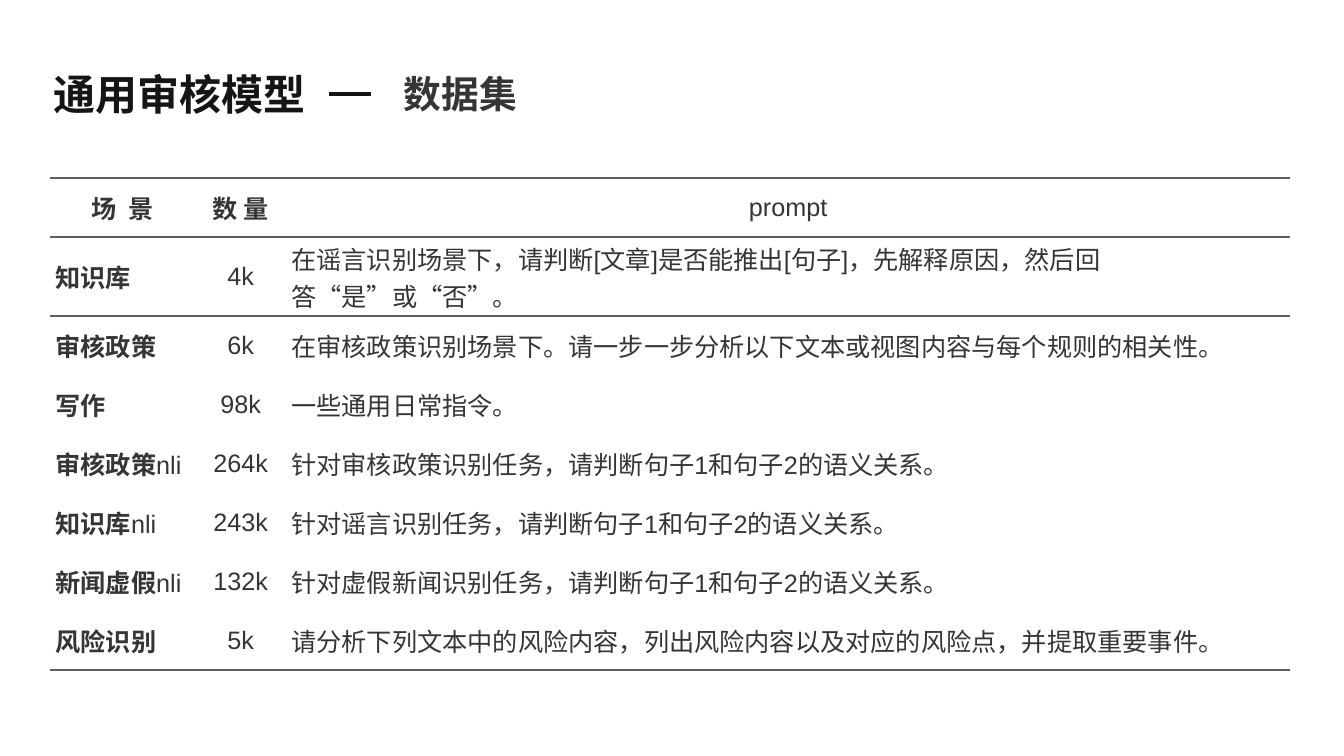
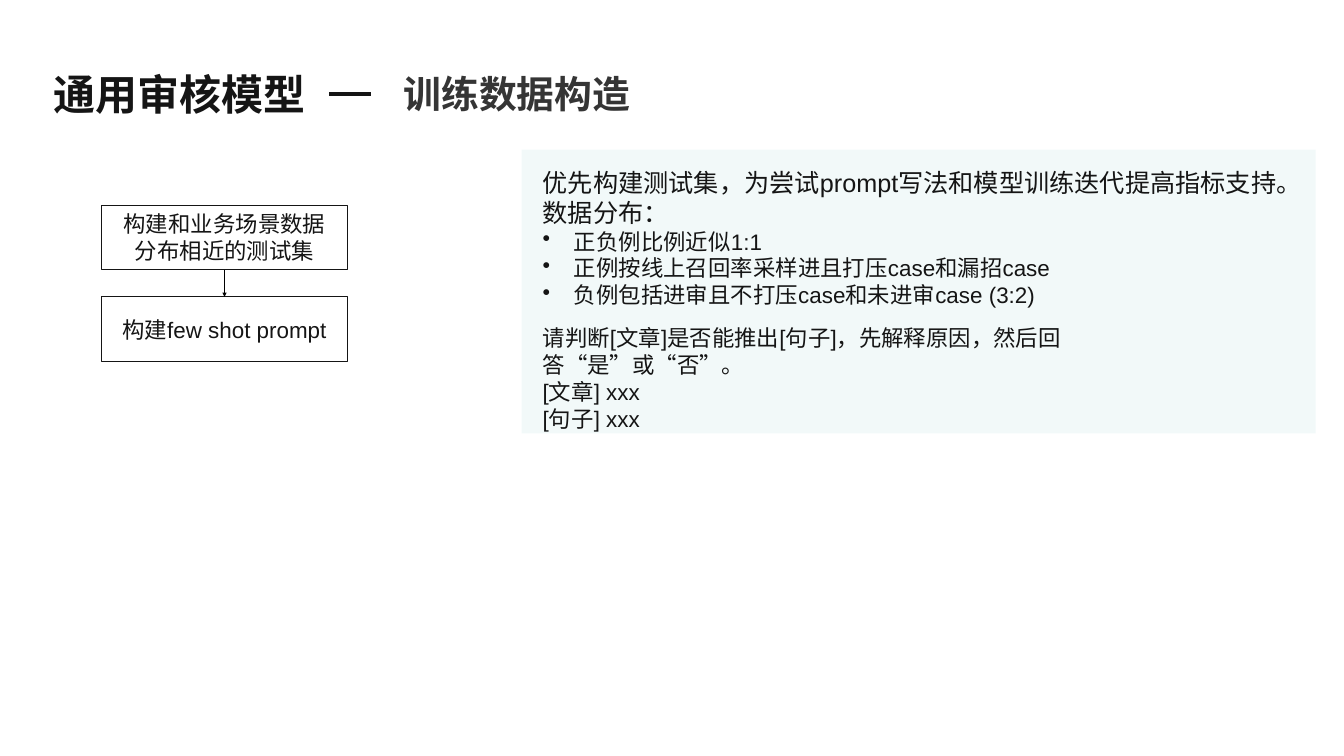
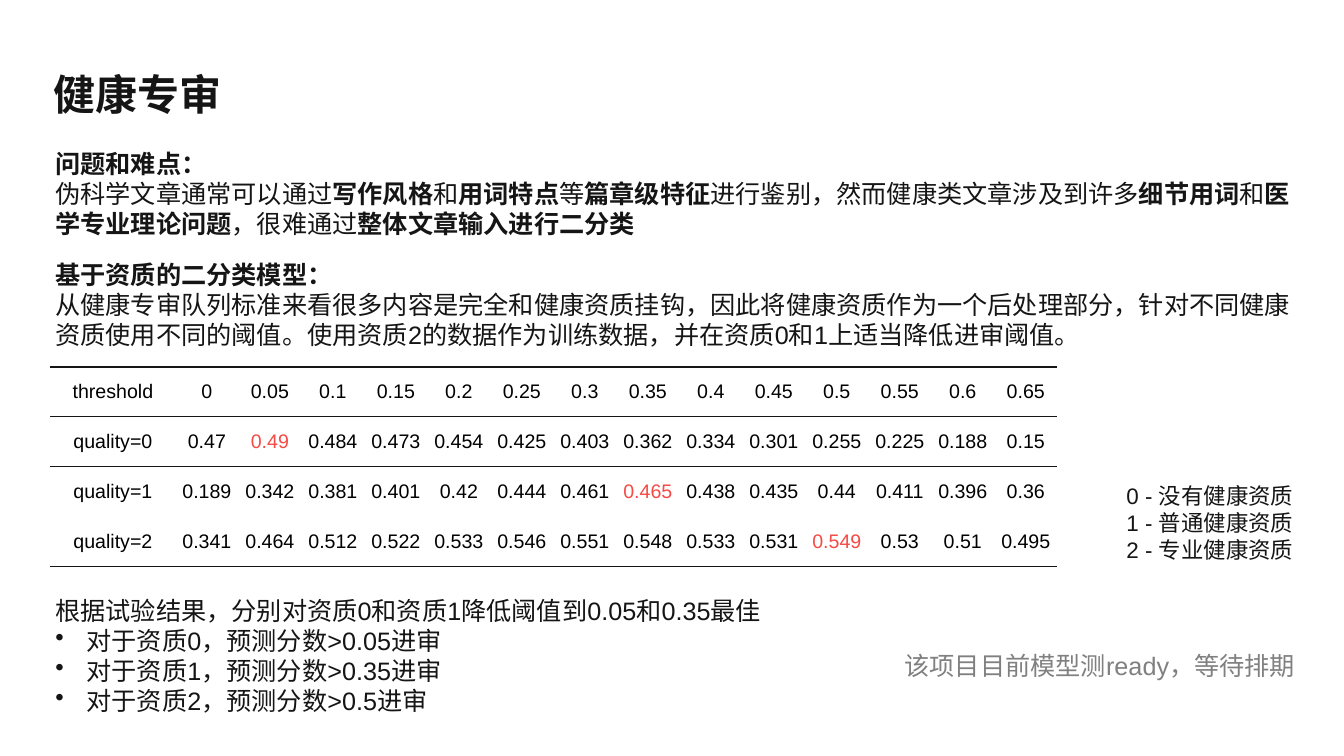
from lxml import etree
from pptx import Presentation
from pptx.dml.color import RGBColor
from pptx.enum.shapes import MSO_CONNECTOR, MSO_SHAPE
from pptx.enum.text import MSO_ANCHOR, MSO_AUTO_SIZE, PP_ALIGN
from pptx.oxml.ns import qn
from pptx.util import Pt

PX = 9144  # 100 px to the inch
FONT = "Arial"
COLORS = {
    "ink": "151515", "soft": "353535", "rule": "5E5E5E", "black": "000000",
    "best": "F54A45", "muted": "808080", "panel": "4FB2B6",
}
NO_STYLE = "{2D5ABB26-0587-4C30-8999-92F81FD0307C}"
LEFT, CENTER = PP_ALIGN.LEFT, PP_ALIGN.CENTER
TOP, MIDDLE = MSO_ANCHOR.TOP, MSO_ANCHOR.MIDDLE
FIT_SHAPE = MSO_AUTO_SIZE.SHAPE_TO_FIT_TEXT
RECTANGLE, STRAIGHT = MSO_SHAPE.RECTANGLE, MSO_CONNECTOR.STRAIGHT

SCENES = [
    ("**场  景**", "**数 量**", "prompt"),
    ("**知识库**", "4k", "在谣言识别场景下，请判断[文章]是否能推出[句子]，先解释原因，然后回答“是”或“否”。"),
    ("**审核政策**", "6k", "在审核政策识别场景下。请一步一步分析以下文本或视图内容与每个规则的相关性。"),
    ("**写作**", "98k", "一些通用日常指令。"),
    ("**审核政策**nli", "264k", "针对审核政策识别任务，请判断句子1和句子2的语义关系。"),
    ("**知识库**nli", "243k", "针对谣言识别任务，请判断句子1和句子2的语义关系。"),
    ("**新闻虚假**nli", "132k", "针对虚假新闻识别任务，请判断句子1和句子2的语义关系。"),
    ("**风险识别**", "5k", "请分析下列文本中的风险内容，列出风险内容以及对应的风险点，并提取重要事件。"),
]
SCORES = [row.split() for row in (
    "threshold 0 0.05 0.1 0.15 0.2 0.25 0.3 0.35 0.4 0.45 0.5 0.55 0.6 0.65",
    "quality=0 0.47 0.49 0.484 0.473 0.454 0.425 0.403 0.362 0.334 0.301 0.255 0.225 0.188 0.15",
    "quality=1 0.189 0.342 0.381 0.401 0.42 0.444 0.461 0.465 0.438 0.435 0.44 0.411 0.396 0.36",
    "quality=2 0.341 0.464 0.512 0.522 0.533 0.546 0.551 0.548 0.533 0.531 0.549 0.53 0.51 0.495",
)]
CHOSEN_SCORES = {(1, "0.49"), (2, "0.465"), (3, "0.549")}


def px(*lengths):
    return [length * PX for length in lengths]


def rgb(color):
    return RGBColor.from_string(COLORS[color])


def add_bullet(paragraph):
    props = paragraph._p.get_or_add_pPr()
    props.set("marL", str(62 * PX))
    props.set("indent", str(-62 * PX))
    etree.SubElement(props, qn("a:buChar")).set("char", "•")


def write(frame, paragraphs, size, color, align=LEFT, pitch=None):
    """Fill a frame; ** toggles bold, a leading • makes a bullet."""
    for index, text in enumerate(paragraphs):
        paragraph = frame.add_paragraph() if index else frame.paragraphs[0]
        paragraph.alignment = align
        if pitch:
            paragraph.line_spacing = Pt(pitch)
        if text.startswith("•"):
            add_bullet(paragraph)
            text = text[1:]
        for part_index, part in enumerate(text.split("**")):
            if not part:
                continue
            for line_index, line in enumerate(part.split("\n")):
                if line_index:
                    paragraph.add_line_break()
                run = paragraph.add_run()
                run.text = line
                run.font.name = FONT
                run.font.size = Pt(size)
                run.font.bold = part_index % 2 == 1
                run.font.color.rgb = rgb(color)


def set_narrow_margins(frame):
    frame.margin_left = frame.margin_right = 6 * PX
    frame.margin_top = frame.margin_bottom = 6 * PX


def add_text(slide, box, paragraphs, size, color="ink", align=LEFT,
             anchor=TOP, pitch=None):
    frame = slide.shapes.add_textbox(*px(*box)).text_frame
    frame.word_wrap = True
    frame.vertical_anchor = anchor
    if anchor == MIDDLE:
        set_narrow_margins(frame)
    else:
        frame.auto_size = FIT_SHAPE
    write(frame, paragraphs, size, color, align, pitch)
    return frame


def add_line(slide, start, end, color, width):
    line = slide.shapes.add_connector(STRAIGHT, *px(*start, *end))
    line.line.color.rgb = rgb(color)
    line.line.width = Pt(width)
    etree.SubElement(line._element.spPr, qn("a:effectLst"))
    return line


def add_title(slide, title, topic=None):
    add_text(slide, (100, 138, 723, 94), [f"**{title}**"], 60, anchor=MIDDLE)
    if topic:
        add_text(slide, (791, 136, 857, 101), [f"**{topic}**"], 54, "soft", pitch=65)
        add_line(slide, (653, 186), (737, 186), "ink", 6)


def add_rectangle(slide, box):
    rectangle = slide.shapes.add_shape(RECTANGLE, *px(*box))
    rectangle.shadow.inherit = False
    return rectangle


def add_panel(slide, box):
    panel = add_rectangle(slide, box)
    panel.line.fill.background()
    panel.fill.solid()
    panel.fill.fore_color.rgb = rgb("panel")
    tint = panel._element.spPr.find(".//" + qn("a:srgbClr"))
    etree.SubElement(tint, qn("a:alpha")).set("val", "7000")


def add_step(slide, box, paragraphs):
    step = add_rectangle(slide, box)
    step.fill.background()
    step.line.color.rgb = rgb("ink")
    step.line.width = Pt(1.5)
    frame = step.text_frame
    frame.word_wrap = True
    frame.vertical_anchor = MIDDLE
    set_narrow_margins(frame)
    write(frame, paragraphs, 32, "ink", CENTER, 38.5)
    return step


def connect_steps(slide, upper, lower):
    arrow = add_line(slide, (446, 535), (446, 589), "black", 1.5)
    arrow.begin_connect(upper, 2)
    arrow.end_connect(lower, 0)
    etree.SubElement(arrow.line._get_or_add_ln(), qn("a:tailEnd")).set("type", "triangle")


def set_rules(cell, sides, color, width):
    props = cell._tc.get_or_add_tcPr()
    for index, side in enumerate(sides):
        rule = etree.Element(qn("a:ln" + side), w=str(Pt(width)))
        fill = etree.SubElement(rule, qn("a:solidFill"))
        etree.SubElement(fill, qn("a:srgbClr")).set("val", COLORS[color])
        props.insert(index, rule)


def add_ruled_table(slide, origin, widths, row_height, rows, rule, style):
    """Table ruled above and below its header and under its last row.

    style(row, column, text) gives the arguments for write().
    """
    size = (sum(widths), row_height * len(rows))
    table = slide.shapes.add_table(len(rows), len(widths), *px(*origin, *size)).table
    table.first_row = table.horz_banding = False
    table._tbl.tblPr[0].text = NO_STYLE
    for column, width in zip(table.columns, px(*widths)):
        column.width = width
    last = len(rows) - 1
    sides = {0: "TB", 1: "T", last: "B"}
    for r, row in enumerate(rows):
        table.rows[r].height = row_height * PX
        for c, text in enumerate(row):
            cell = table.cell(r, c)
            cell.vertical_anchor = MIDDLE
            cell.fill.background()
            write(cell.text_frame, [text], **style(r, c, text))
            set_rules(cell, sides.get(r, ""), *rule)


def scene_style(row, column, text):
    align = CENTER if row == 0 or column == 1 else LEFT
    return {"size": 36, "color": "soft", "align": align,
            "pitch": 53 if column == 2 and row else None}


def score_style(row, column, text):
    color = "best" if (row, text) in CHOSEN_SCORES else "black"
    return {"size": 28, "color": color, "align": CENTER}


def build_dataset(slide):
    add_title(slide, "通用审核模型", "数据集")
    add_ruled_table(slide, (100, 353), [287, 181, 1992], 117, SCENES,
                    ("rule", 3), scene_style)


def build_training_data(slide):
    add_panel(slide, (1035, 297, 1576, 563))
    add_title(slide, "通用审核模型", "训练数据构造")
    guidance = add_text(slide, (1071, 325, 1539, 294), [
        "优先构建测试集，为尝试prompt写法和模型训练迭代提高指标支持。",
        "数据分布：",
        "•正负例比例近似1:1",
        "•正例按线上召回率采样进且打压case和漏招case",
        "•负例包括进审且不打压case和未进审case (3:2)",
    ], 36, anchor=MIDDLE, pitch=43)
    for paragraph in guidance.paragraphs[2:]:
        paragraph.line_spacing = Pt(38.5)
        for run in paragraph.runs:
            run.font.size = Pt(32)
    add_text(slide, (1071, 664, 1346, 173), [
        "请判断[文章]是否能推出[句子]，先解释原因，然后回答“是”或“否”。\n[文章] xxx",
        "[句子] xxx",
    ], 32, anchor=MIDDLE, pitch=38.5)
    test_set = add_step(slide, (201, 407, 489, 128),
                        ["构建和业务场景数据", "分布相近的测试集"])
    few_shot = add_step(slide, (201, 589, 489, 128), ["构建few shot prompt"])
    connect_steps(slide, test_set, few_shot)


def build_health_review(slide):
    add_title(slide, "健康专审")
    add_text(slide, (100, 289, 2491, 192), [
        "**问题和难点：**",
        "伪科学文章通常可以通过**写作风格**和**用词特点**等**篇章级特征**进行鉴别，"
        "然而健康类文章涉及到许多**细节用词**和**医学专业理论问题**，"
        "很难通过**整体文章输入进行二分类**",
    ], 36, pitch=43)
    add_text(slide, (100, 509, 2491, 192), [
        "**基于资质的二分类模型：**",
        "从健康专审队列标准来看很多内容是完全和健康资质挂钩，因此将健康资质作为一个后处理部分，"
        "针对不同健康资质使用不同的阈值。使用资质2的数据作为训练数据，并在资质0和1上适当降低进审阈值。",
    ], 36, pitch=43)
    add_text(slide, (2182, 952, 438, 172),
             ["0 - 没有健康资质", "1 - 普通健康资质", "2 - 专业健康资质"],
             32, align=CENTER, pitch=38.5)
    add_ruled_table(slide, (100, 728), [248] + [125] * 14, 99, SCORES,
                    ("ink", 2.25), score_style)
    add_text(slide, (100, 1176, 1469, 252), [
        "根据试验结果，分别对资质0和资质1降低阈值到0.05和0.35最佳",
        "•对于资质0，预测分数>0.05进审",
        "•对于资质1，预测分数>0.35进审",
        "•对于资质2，预测分数>0.5进审",
    ], 36, pitch=43)
    add_text(slide, (1775, 1286, 815, 71), ["该项目目前模型测ready，等待排期"],
             36, "muted", CENTER, pitch=43)


def main():
    deck = Presentation()
    deck.slide_width, deck.slide_height = px(2667, 1500)
    blank = deck.slide_layouts[6]
    for build in (build_dataset, build_training_data, build_health_review):
        build(deck.slides.add_slide(blank))
    deck.save("out.pptx")


if __name__ == "__main__":
    main()
